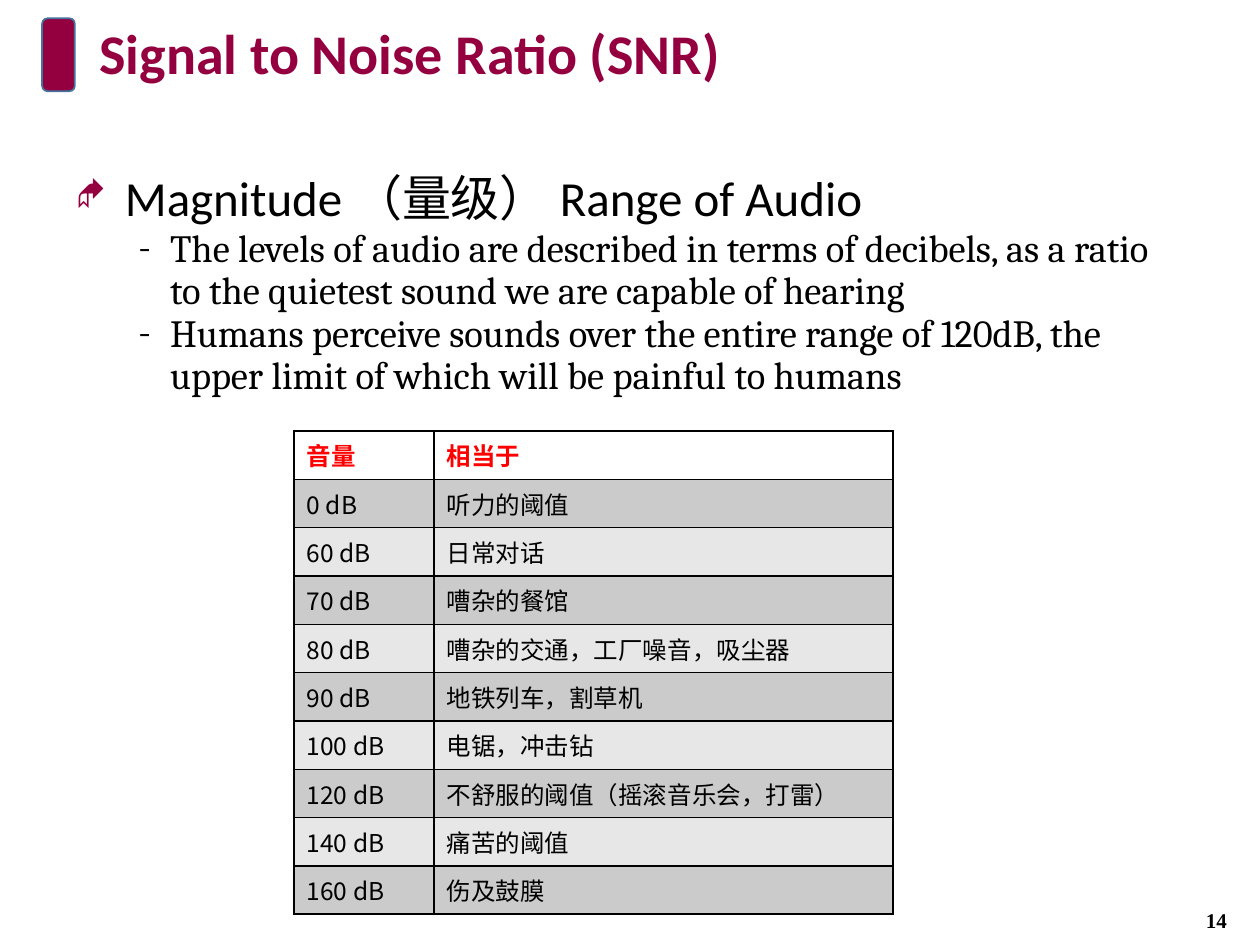
from dataclasses import dataclass

from lxml.etree import SubElement as Sub
from pptx import Presentation
from pptx.dml.color import RGBColor as Rgb
from pptx.enum.shapes import MSO_SHAPE as Shape
from pptx.enum.text import MSO_ANCHOR as Anchor, MSO_AUTO_SIZE as Fit, PP_ALIGN as Align
from pptx.oxml.ns import qn
from pptx.util import Cm, Pt


@dataclass(frozen=True)
class Theme:
    wine: str = "94003F"
    edge: str = "43739E"
    ink: str = "000000"
    red: str = "FF0000"
    white: str = "FFFFFF"
    dark: str = "CBCBCB"
    light: str = "E7E7E7"
    sans: str = "Calibri"
    serif: str = "Cambria"
    cjk: str = "Noto Sans CJK SC"
    roman: str = "Times New Roman"
    mark: str = "Wingdings"
    title: int = 32
    head: int = 28
    body: int = 22
    cell: int = 14
    page: int = 12


T = Theme()

HEAD = [("Magnitude", T.sans), (" （量级） ", T.serif), ("Range of Audio", T.sans)]
POINTS = [
    "The levels of audio are described in terms of decibels, as a ratio "
    "to the quietest sound we are capable of hearing",
    "Humans perceive sounds over the entire range of 120dB, the "
    "upper limit of which will be painful to humans",
]
LEVELS = [
    ("音量", "相当于"),
    ("0 dB", "听力的阈值"),
    ("60 dB", "日常对话"),
    ("70 dB", "嘈杂的餐馆"),
    ("80 dB", "嘈杂的交通，工厂噪音，吸尘器"),
    ("90 dB", "地铁列车，割草机"),
    ("100 dB", "电锯，冲击钻"),
    ("120 dB", "不舒服的阈值（摇滚音乐会，打雷）"),
    ("140 dB", "痛苦的阈值"),
    ("160 dB", "伤及鼓膜"),
]


def box(*dims):
    return [Cm(d) for d in dims]


def style(font, size, name=None, color=T.ink, bold=False):
    font.size, font.bold = Pt(size), bold
    font.color.rgb = Rgb.from_string(color)
    if name:
        font.name = name


def bullet(para, char, face, left, hang, color=T.ink, scale=100):
    props = para._p.get_or_add_pPr()
    props.set("marL", str(Cm(left)))
    props.set("indent", str(-Cm(hang)))
    Sub(Sub(props, qn("a:buClr")), qn("a:srgbClr"), val=color)
    Sub(props, qn("a:buSzPct"), val=str(scale * 1000))
    Sub(props, qn("a:buFont"), typeface=face)
    Sub(props, qn("a:buChar"), char=char)


def add_title(slide):
    bar = slide.shapes.add_shape(Shape.ROUNDED_RECTANGLE, *box(0.85, 0.37, 0.66, 1.47))
    bar.shadow.inherit = False
    bar.fill.solid()
    bar.fill.fore_color.rgb = Rgb.from_string(T.wine)
    bar.line.color.rgb = Rgb.from_string(T.edge)
    bar.line.width = Pt(1)

    title = slide.shapes.title
    title.left, title.top, title.width, title.height = box(1.75, 0.4, 21.9, 1.47)
    frame = title.text_frame
    frame.text = "Signal to Noise Ratio (SNR)"
    frame.auto_size, frame.vertical_anchor = Fit.NONE, Anchor.MIDDLE
    para = frame.paragraphs[0]
    para.alignment, para.line_spacing = Align.LEFT, 0.9
    style(para.font, T.title, T.sans, T.wine, True)


def add_body(slide):
    frame = slide.shapes.add_textbox(*box(1.28, 3.39, 22.86, 13.54)).text_frame
    frame.word_wrap = True
    para = frame.paragraphs[0]
    para.line_spacing = 0.9
    bullet(para, "◆", T.mark, 0.99, 0.99, T.wine, 70)
    style(para.font, T.head)
    for text, name in HEAD:
        run = para.add_run()
        run.text, run.font.name = text, name
    for text in POINTS:
        para = frame.add_paragraph()
        para.text, para.level = text, 1
        para.line_spacing, para.space_before = 0.9, Pt(1.2)
        bullet(para, "-", T.serif, 1.9, 0.64)
        style(para.font, T.body, T.serif)


def edge(cell):
    """Draw a thin black line on all four sides."""
    props = cell._tc.get_or_add_tcPr()
    for at, side in enumerate(("lnL", "lnR", "lnT", "lnB")):
        line = Sub(props, qn(f"a:{side}"), w=str(Pt(1)))
        Sub(Sub(line, qn("a:solidFill")), qn("a:srgbClr"), val=T.ink)
        props.insert(at, line)


def add_table(slide):
    dims = box(5.93, 8.69, 12.07, 9.74)
    table = slide.shapes.add_table(len(LEVELS), 2, *dims).table
    for col, width in zip(table.columns, (2.82, 9.25)):
        col.width = Cm(width)
    for i, row in enumerate(LEVELS):
        fill = (T.dark if i % 2 else T.light) if i else T.white
        for j, text in enumerate(row):
            cell = table.cell(i, j)
            cell.text = text
            cell.fill.solid()
            cell.fill.fore_color.rgb = Rgb.from_string(fill)
            edge(cell)
            font = cell.text_frame.paragraphs[0].font
            style(font, T.cell, T.cjk, T.ink if i else T.red, i == 0)
            Sub(font._element, qn("a:ea"), typeface=T.cjk)


def add_page(slide):
    frame = slide.shapes.add_textbox(*box(23.44, 18.03, 2.16, 1.02)).text_frame
    frame.word_wrap, frame.vertical_anchor = True, Anchor.MIDDLE
    para = frame.paragraphs[0]
    para.text, para.alignment = "14", Align.CENTER
    style(para.font, T.page, T.roman, bold=True)


def main():
    deck = Presentation()
    deck.slide_width, deck.slide_height = box(25.4, 19.05)
    slide = deck.slides.add_slide(deck.slide_layouts[5])
    for add in (add_title, add_body, add_page, add_table):
        add(slide)
    deck.save("out.pptx")


if __name__ == "__main__":
    main()
